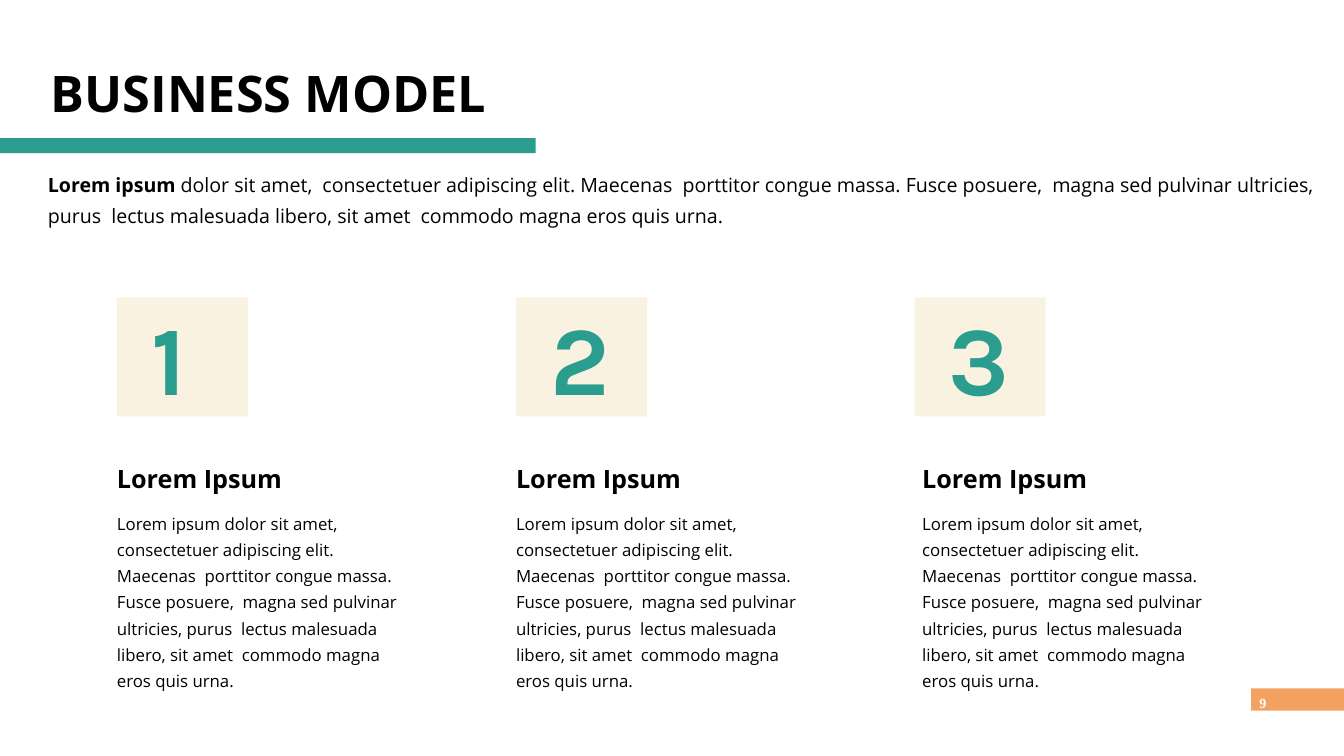
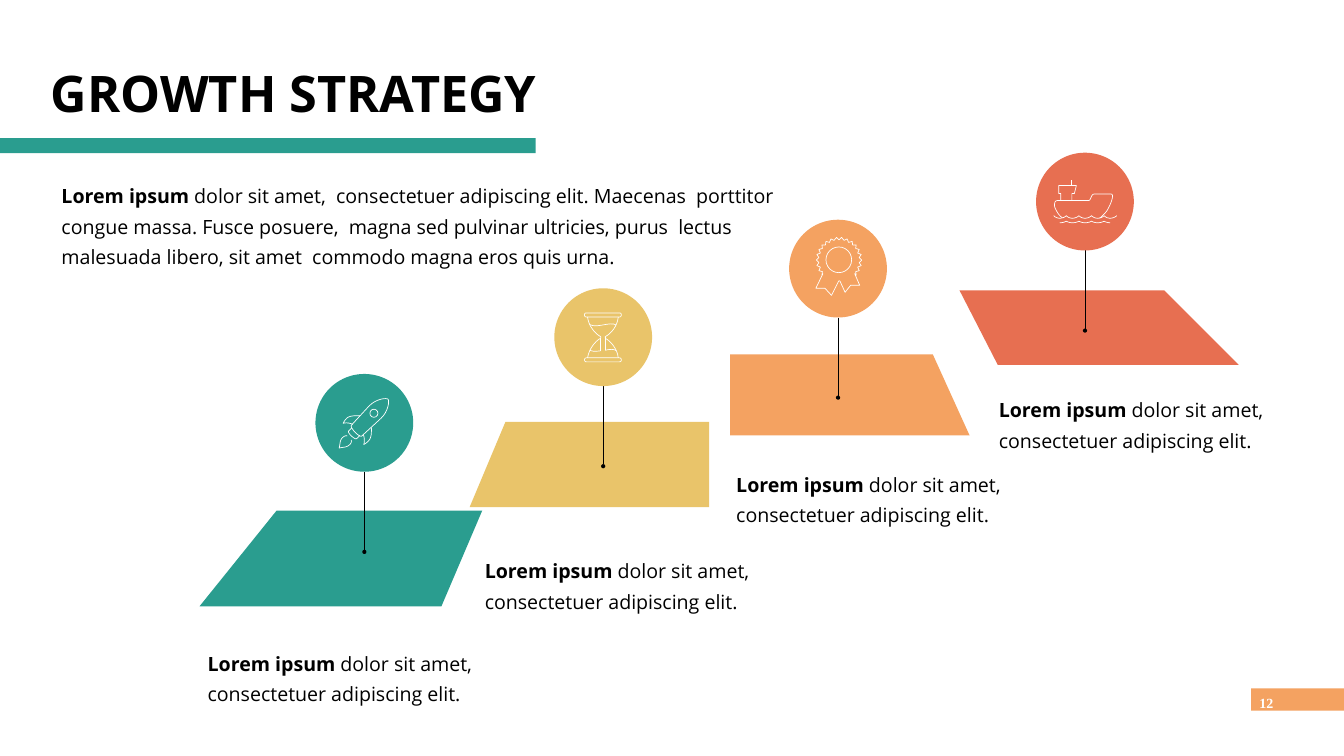
from math import cos, pi, sin

from lxml import etree
from pptx import Presentation
from pptx.dml.color import RGBColor
from pptx.enum.shapes import MSO_CONNECTOR, MSO_SHAPE
from pptx.enum.text import MSO_ANCHOR, MSO_AUTO_SIZE, PP_ALIGN
from pptx.oxml.ns import qn
from pptx.util import Cm, Pt

RECTANGLE, OVAL = MSO_SHAPE.RECTANGLE, MSO_SHAPE.OVAL
STRAIGHT = MSO_CONNECTOR.STRAIGHT
TOP, MIDDLE = MSO_ANCHOR.TOP, MSO_ANCHOR.MIDDLE
LEFT = PP_ALIGN.LEFT
GROW = MSO_AUTO_SIZE.SHAPE_TO_FIT_TEXT

TEAL, YELLOW, ORANGE, CORAL = "2A9D8F", "E9C46A", "F4A261", "E76F51"
CREAM, BLACK, WHITE = "F6E6C2", "000000", "FFFFFF"
BODY_FONT, NUMBER_FONT, FOOTER_FONT = "Open Sans", "Karla", "Times New Roman"
BODY_INSETS = (0, 0.08, 0.47, 0.08)

LEAD = "Lorem ipsum "
SHORT_TEXT = "dolor sit amet,  consectetuer adipiscing elit."
LONG_TEXT = (SHORT_TEXT + " Maecenas  porttitor congue massa. Fusce posuere,  magna sed "
             "pulvinar ultricies, purus  lectus malesuada libero, sit amet  commodo "
             "magna eros quis urna.")

CIRCLE = 1.94
PIN = 1.59
CURVE_STEPS = 8


def scalloped_medal():
    """Return the outline of a toothed medal with two ribbon tails."""
    half_tooth = pi / 26
    points = []
    for step in range(-19, 20):
        radius = 45 if step % 2 else 40
        angle = step * half_tooth
        points.append(f"{99 + radius * sin(angle):.0f} {80 - radius * cos(angle):.0f}")
    points += ["130 107", "140 130", "122 130", "111 144", "101 122", "99 121",
               "98 122", "84 150", "71 136", "53 136", "67 107"]
    return "M " + " L ".join(points) + " Z"


def waves(start, level, count, offsets):
    """Return a line of equal waves, 25 units long each."""
    parts = [f"M {start} {level}"]
    for index in range(count):
        left = start + 25 * index
        for bend in offsets:
            parts.append("C " + " ".join(f"{left + x} {level + y}" for x, y in bend))
    return " ".join(parts)


ROCKET = [
    "M 106 64 C 120 49 141 47 144 50 C 147 53 145 74 130 88 L 92 123 "
    "C 90 125 84 121 79 116 C 73 110 70 104 71 102 Z",
    "M 72 107 L 66 113 C 64 114 67 119 71 123 C 76 127 80 130 82 128 L 88 122",
    "M 111 106 C 111 106 112 120 109 127 C 107 134 96 140 96 140 C 99 130 95 120 95 120",
    "M 88 83 C 88 83 74 82 67 85 C 60 87 55 98 55 98 C 64 95 74 100 74 100",
    "O 108 70 16",
    "M 63 123 C 60 122 57 123 53 127 C 48 132 49 141 47 147 "
    "C 54 145 62 146 67 141 C 71 138 72 134 71 131",
]
HOURGLASS = [
    "M 127 138 C 125 120 112 105 101 99 L 101 96 C 113 90 125 75 127 57",
    "M 64 138 C 61 138 60 140 60 142 C 60 144 61 146 64 146 L 129 146 "
    "C 132 146 133 144 133 142 C 133 140 132 138 129 138 Z",
    "M 66 57 C 68 75 81 90 92 96 L 92 99 C 81 105 69 120 66 138",
    "M 129 57 C 132 57 133 55 133 53 C 133 50 132 49 129 49 L 64 49 "
    "C 61 49 60 50 60 53 C 60 55 61 57 64 57 Z",
    "M 123 73 C 111 65 86 80 70 72",
    "M 92 124 C 84 125 77 126 71 123",
    "M 123 124 C 118 120 110 121 101 123",
    "M 92 124 L 92 98",
    "M 101 123 L 101 97",
]
MEDAL = [scalloped_medal(), "O 73 54 51"]
SHIP = [
    "M 126 130 C 131 126 139 119 143 111 C 152 94 154 82 149 82 L 115 82 "
    "C 109 82 109 95 104 95 L 42 95 C 36 95 36 104 37 108 C 39 112 43 123 52 129",
    waves(47, 139, 4, [[(5, 0), (9, -1), (13, -3)], [(17, -1), (21, 0), (25, 0)]]),
    waves(35, 125, 5, [[(3, 3), (7, 5), (12, 5)], [(17, 5), (22, 3), (25, 0)]]),
    "M 49 95 L 49 81 L 45 81 L 45 65 L 80 65 L 76 81 L 71 81 L 71 95",
    "M 70 65 L 70 54",
]

STAGES = [
    (TEAL, [(9.57, 10.13), (8.76, 12.03), (3.96, 12.03), (5.49, 10.13)],
     (6.26, 7.42), (4.12, 12.71), ROCKET),
    (YELLOW, [(14.07, 8.37), (14.07, 10.06), (9.32, 10.06), (10.03, 8.37)],
     (11, 5.72), (9.62, 10.87), HOURGLASS),
    (ORANGE, [(14.49, 7.03), (14.49, 8.64), (19.24, 8.64), (18.51, 7.03)],
     (15.66, 4.36), (14.61, 9.16), MEDAL),
    (CORAL, [(19.04, 5.76), (19.8, 7.24), (24.58, 7.24), (23.1, 5.76)],
     (20.56, 3.03), (19.82, 7.68), SHIP),
]


def inches(value):
    """Turn inches into a length."""
    return Cm(value * 2.54)


def colour(code):
    """Turn a hex string into a colour."""
    return RGBColor.from_string(code)


def paint(shape, fill=None, line=None):
    """Give a shape its fill and a one-point outline, without shadow."""
    shape.shadow.inherit = False
    if fill:
        shape.fill.solid()
        shape.fill.fore_color.rgb = colour(fill)
    else:
        shape.fill.background()
    if line:
        shape.line.color.rgb = colour(line)
        shape.line.width = Pt(1)
    else:
        shape.line.fill.background()
    return shape


def add_preset(parent, kind, at, fill=None, line=None):
    """Draw a preset shape at left, top, width, height."""
    return paint(parent.shapes.add_shape(kind, *map(inches, at)), fill, line)


def add_outline(parent, points, closed=True, fill=None, line=None):
    """Draw a freeform through the points."""
    corners = [(inches(x), inches(y)) for x, y in points]
    builder = parent.shapes.build_freeform(*corners[0], scale=1.0)
    builder.add_line_segments(corners[1:], close=closed)
    return paint(builder.convert_to_shape(), fill, line)


def add_line(parent, start, end, code, width, dot=False):
    """Draw a straight line, with a dot at its end if asked."""
    line = parent.shapes.add_connector(STRAIGHT, *map(inches, (*start, *end)))
    line.line.color.rgb = colour(code)
    line.line.width = Pt(width)
    if dot:
        etree.SubElement(line.line._get_or_add_ln(), qn("a:tailEnd"), type="oval")
    etree.SubElement(line._element.spPr, qn("a:effectLst"))
    return line


def write(box, paragraphs, insets, spacing=None, gap=0, anchor=TOP, grow=True):
    """Fill a box with paragraphs of (text, size, font, colour, bold) runs."""
    frame = box.text_frame
    frame.word_wrap = True
    frame.vertical_anchor = anchor
    if grow:
        frame.auto_size = GROW
    (frame.margin_left, frame.margin_top,
     frame.margin_right, frame.margin_bottom) = map(inches, insets)
    for index, runs in enumerate(paragraphs):
        para = frame.add_paragraph() if index else frame.paragraphs[0]
        para.alignment = LEFT
        if spacing:
            para.line_spacing = spacing
        if index:
            para.space_before = Pt(gap)
        for text, size, font, code, bold in runs:
            span = para.add_run()
            span.text = text
            span.font.size = Pt(size)
            span.font.name = font
            span.font.color.rgb = colour(code)
            span.font.bold = bold


def add_text(page, at, paragraphs, insets=BODY_INSETS, **style):
    """Place a text box."""
    write(page.shapes.add_textbox(*map(inches, at)), paragraphs, insets, **style)


def add_statement(page, at, text):
    """Place body text that opens with the bold lead."""
    runs = [(LEAD, 28, BODY_FONT, BLACK, True), (text, 28, BODY_FONT, BLACK, False)]
    add_text(page, at, [runs], spacing=1.3)


def add_page(deck, title, number):
    """Add a slide with its footer, title band and title."""
    page = deck.slides.add_slide(deck.slide_layouts[6])
    add_preset(page, RECTANGLE, (24.83, 13.66, 1.84, 0.44), ORANGE)
    add_text(page, (24.91, 13.72, 0.45, 0.34),
             [[(number, 20, FOOTER_FONT, WHITE, True)]], (0.08, 0, 0, 0), spacing=1.2)
    add_preset(page, RECTANGLE, (0, 2.74, 10.63, 0.3), TEAL)
    add_text(page, (0.91, 1.11, 18.03, 1.45),
             [[(title, 72, BODY_FONT, BLACK, True)]], (0.1, 0.05, 0.1, 0.05),
             anchor=MIDDLE, grow=False)
    return page


def add_number_tile(page, left, number):
    """Draw a half-transparent tile with a large number."""
    tile = add_preset(page, RECTANGLE, (left, 5.9, 2.6, 2.36), CREAM)
    shade = tile._element.spPr.find(qn("a:solidFill"))[0]
    etree.SubElement(shade, qn("a:alpha"), val="50000")
    write(tile, [[(number, 140, NUMBER_FONT, TEAL, True)]], (0.68, 0.01, 0, 0))


def trace(stroke):
    """Turn a stroke of M, L, C and Z steps into points and a closed flag."""
    tokens = stroke.split()
    closed = tokens[-1] == "Z"
    points = []
    while tokens and tokens[0] != "Z":
        count = 6 if tokens[0] == "C" else 2
        numbers = [float(token) for token in tokens[1:count + 1]]
        del tokens[:count + 1]
        ends = list(zip(numbers[::2], numbers[1::2]))
        if count == 2:
            points += ends
            continue
        bezier = [points[-1], *ends]
        for step in range(1, CURVE_STEPS + 1):
            t = step / CURVE_STEPS
            weights = ((1 - t) ** 3, 3 * t * (1 - t) ** 2, 3 * t * t * (1 - t), t ** 3)
            points.append(tuple(sum(w * p[axis] for w, p in zip(weights, bezier))
                                for axis in (0, 1)))
    return points, closed


def add_badge(page, left, top, fill, strokes):
    """Draw a filled circle with a white line icon, as one group."""
    badge = page.shapes.add_group_shape()
    add_preset(badge, OVAL, (left, top, CIRCLE, CIRCLE), fill)
    for stroke in strokes:
        if stroke.startswith("O"):
            x, y, size = (int(token) / 100 for token in stroke.split()[1:])
            add_preset(badge, OVAL, (left + x, top + y, size, size), line=WHITE)
            continue
        points, closed = trace(stroke)
        points = [(left + x / 100, top + y / 100) for x, y in points]
        if len(points) == 2:
            add_line(badge, *points, WHITE, 1)
        else:
            add_outline(badge, points, closed, line=WHITE)


def build_business_model(deck):
    """Build the slide with three numbered columns."""
    page = add_page(deck, "BUSINESS MODEL", "9")
    add_statement(page, (0.95, 3.21, 25.72, 1.33), LONG_TEXT)
    column = [[("Lorem Ipsum", 36, BODY_FONT, BLACK, True)],
              [(LEAD + LONG_TEXT, 24, BODY_FONT, BLACK, False)]]
    for number, tile_left, text_left in (("1", 2.32, 2.32), ("2", 10.24, 10.24),
                                         ("3", 18.15, 18.3)):
        add_number_tile(page, tile_left, number)
        add_text(page, (text_left, 8.93, 6.4, 4.33), column, spacing=1.3, gap=20)


def build_growth_strategy(deck):
    """Build the slide with four pinned stages."""
    page = add_page(deck, "GROWTH STRATEGY", "12")
    add_statement(page, (1.22, 3.43, 15.17, 1.95), LONG_TEXT)
    for fill, floor, (left, top), caption, icon in STAGES:
        add_outline(page, floor, fill=fill)
        centre, bottom = left + CIRCLE / 2, top + CIRCLE
        add_line(page, (centre, bottom), (centre, bottom + PIN), BLACK, 0.75, dot=True)
        add_badge(page, left, top, fill, icon)
        add_statement(page, (*caption, 6.44, 1.33), SHORT_TEXT)


def main():
    """Build and save the deck."""
    deck = Presentation()
    deck.slide_width, deck.slide_height = inches(26.67), inches(15)
    build_business_model(deck)
    build_growth_strategy(deck)
    deck.save("out.pptx")


if __name__ == "__main__":
    main()
